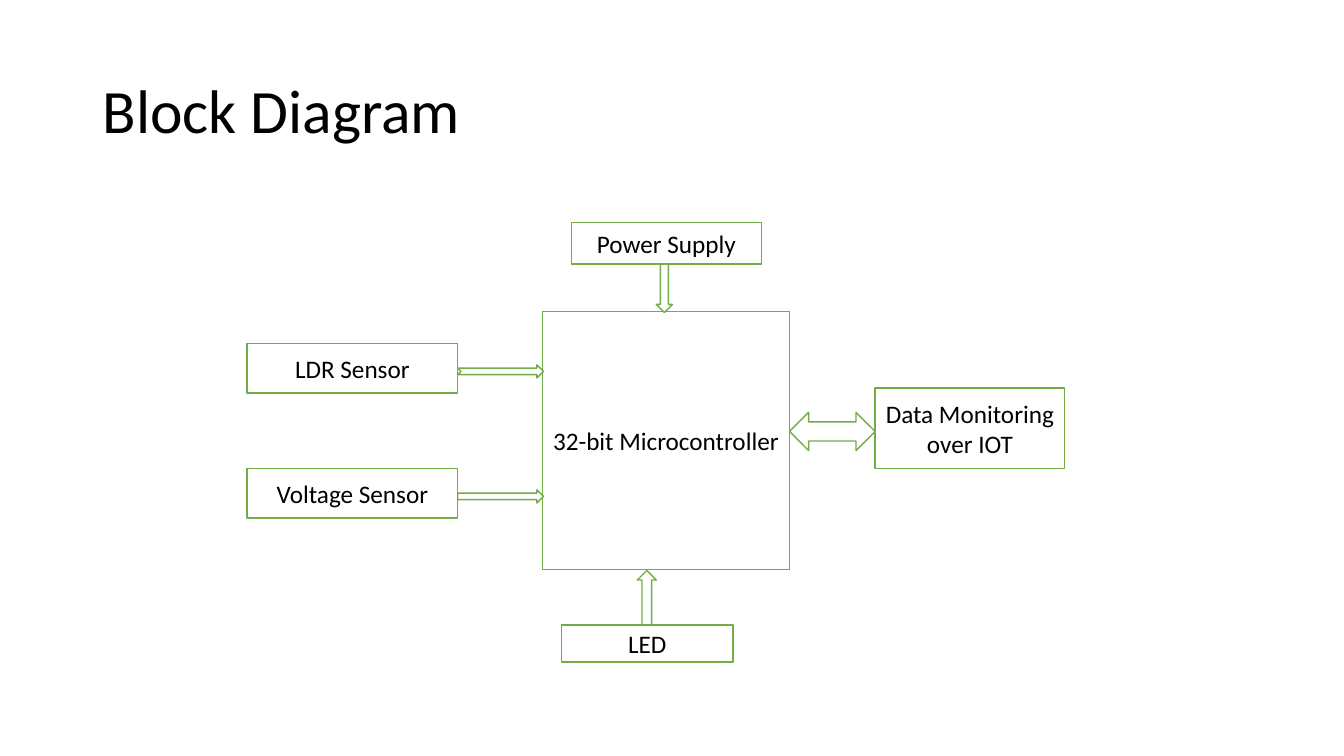
"""Build the block diagram slide of a sensor monitoring system."""
from pptx import Presentation
from pptx.dml.color import RGBColor
from pptx.enum.shapes import MSO_SHAPE
from pptx.enum.text import MSO_ANCHOR, PP_ALIGN
from pptx.util import Inches, Pt

BLACK = RGBColor(0x00, 0x00, 0x00)
WHITE = RGBColor(0xFF, 0xFF, 0xFF)
GREEN = RGBColor(0x70, 0xAD, 0x47)
RECTANGLE = MSO_SHAPE.RECTANGLE
NOTCHED_RIGHT = MSO_SHAPE.NOTCHED_RIGHT_ARROW
RIGHT = MSO_SHAPE.RIGHT_ARROW
UP = MSO_SHAPE.UP_ARROW
DOWN = MSO_SHAPE.DOWN_ARROW
LEFT_RIGHT = MSO_SHAPE.LEFT_RIGHT_ARROW
MIDDLE = MSO_ANCHOR.MIDDLE
CENTER = PP_ALIGN.CENTER

BLOCKS = [
    ("32-bit Microcontroller", 5.38, 3.09, 2.45, 2.56),
    ("LDR Sensor", 2.45, 3.41, 2.09, 0.49),
    ("Voltage Sensor", 2.45, 4.65, 2.09, 0.49),
    ("Power Supply", 5.67, 2.21, 1.88, 0.41),
    ("Data Monitoring over IOT", 8.68, 3.85, 1.88, 0.8),
    ("LED", 5.57, 6.2, 1.7, 0.37),
]
ARROWS = [
    (NOTCHED_RIGHT, 4.54, 3.62, 0.85, 0.13),
    (RIGHT, 4.54, 4.86, 0.85, 0.13),
    (UP, 6.32, 5.66, 0.19, 0.54),
    (DOWN, 6.51, 2.62, 0.16, 0.48),
    (LEFT_RIGHT, 7.83, 4.09, 0.85, 0.38),
]


def write(shape, text, size, para_format):
    frame = shape.text_frame
    frame.word_wrap = True
    frame.vertical_anchor = MIDDLE
    para = frame.paragraphs[0]
    for name, value in para_format.items():
        setattr(para, name, value)
    span = para.add_run()
    span.text = text
    for name, value in {"name": "Calibri", "size": Pt(size)}.items():
        setattr(span.font, name, value)
    span.font.color.rgb = BLACK


def draw(page, kind, *bounds):
    shape = page.shapes.add_shape(kind, *map(Inches, bounds))
    shape.shadow.inherit = False
    shape.fill.solid()
    shape.fill.fore_color.rgb = WHITE
    shape.line.color.rgb = GREEN
    shape.line.width = Pt(1)
    return shape


deck = Presentation()
deck.slide_width = Inches(13.33)
deck.slide_height = Inches(7.5)
page = deck.slides.add_slide(deck.slide_layouts[6])

title = page.shapes.add_textbox(Inches(0.92), Inches(0.4), Inches(11.5), Inches(1.45))
write(title, "Block Diagram", 44, {"line_spacing": 0.9})

for label, *bounds in BLOCKS:
    box = draw(page, RECTANGLE, *bounds)
    write(box, label, 18, {"alignment": CENTER})

for kind, *bounds in ARROWS:
    draw(page, kind, *bounds)

deck.save("out.pptx")
